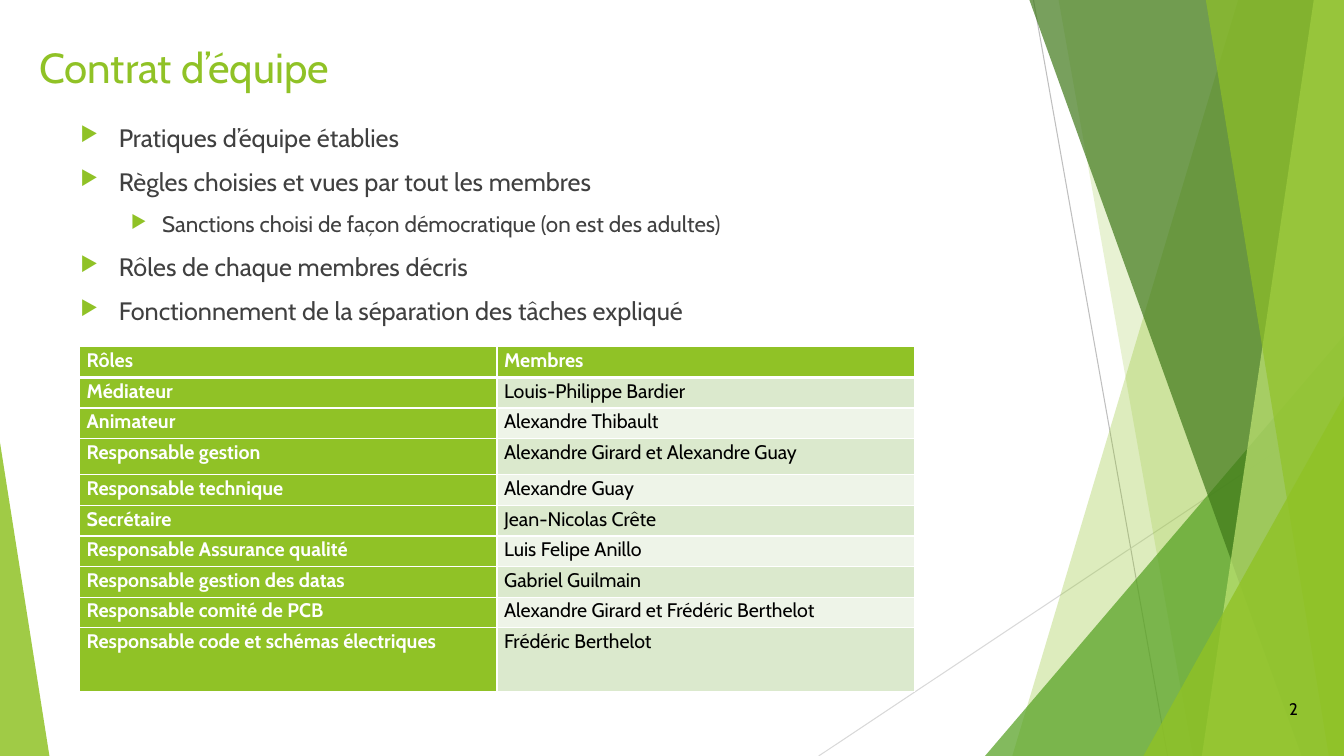
from dataclasses import dataclass

from lxml import etree
from pptx import Presentation
from pptx.dml.color import RGBColor
from pptx.enum.shapes import MSO_CONNECTOR, MSO_SHAPE
from pptx.enum.text import MSO_ANCHOR, MSO_AUTO_SIZE, PP_ALIGN
from pptx.oxml.ns import qn
from pptx.util import Inches, Pt

STRAIGHT = MSO_CONNECTOR.STRAIGHT
TRIANGLE = MSO_SHAPE.ISOSCELES_TRIANGLE
TOP, MIDDLE = MSO_ANCHOR.TOP, MSO_ANCHOR.MIDDLE
LEFT, RIGHT, JUSTIFY = PP_ALIGN.LEFT, PP_ALIGN.RIGHT, PP_ALIGN.JUSTIFY
NO_AUTOFIT = MSO_AUTO_SIZE.NONE


@dataclass(frozen=True)
class Theme:
    """Colours, font and type sizes of the slide."""
    font: str = "Cabin"
    accent: str = "90C226"
    mid_green: str = "54A021"
    dark_green: str = "3F7819"
    pale_green: str = "C0E474"
    band_dark: str = "DBE9CD"
    band_light: str = "EEF4E8"
    body: str = "404040"
    black: str = "000000"
    white: str = "FFFFFF"
    line_dark: str = "BFBFBF"
    line_light: str = "D9D9D9"
    title_size: int = 30
    bullet_sizes: tuple = (18, 16)
    table_size: int = 14
    number_size: int = 12


THEME = Theme()
WIDTH, HEIGHT = 13.33, 7.5

LINES = [
    ((10.25, 0), (11.58, HEIGHT), THEME.line_dark),
    ((WIDTH, 4.03), (8.12, HEIGHT), THEME.line_light),
]
FACETS = [
    ("band", 12.28, 10.04, THEME.accent, 30),
    ("band", 10.5, 11.83, THEME.accent, 20),
    ("triangle", 9.77, 3.33, THEME.mid_green, 72),
    ("band", 10.21, 12.91, THEME.dark_green, 70),
    ("band", 13.03, 11.92, THEME.pale_green, 70),
    ("band", 11.96, 13.18, THEME.accent, 65),
    ("triangle", 11.34, 3.93, THEME.accent, 80),
]
BULLETS = [
    (0, "Pratiques d’équipe établies"),
    (0, "Règles choisies et vues par tout les membres"),
    (1, "Sanctions choisi de façon démocratique (on est des adultes)"),
    (0, "Rôles de chaque membres décris"),
    (0, "Fonctionnement de la séparation des tâches expliqué"),
]
BULLET_INDENTS = [(0.38, -0.38), (0.81, -0.31)]
ROLES = [
    ("Rôles", "Membres"),
    ("Médiateur", "Louis-Philippe Bardier"),
    ("Animateur", "Alexandre Thibault"),
    ("Responsable gestion", "Alexandre Girard et Alexandre Guay"),
    ("Responsable technique", "Alexandre Guay"),
    ("Secrétaire", "Jean-Nicolas Crête"),
    ("Responsable Assurance qualité", "Luis Felipe Anillo"),
    ("Responsable gestion des datas", "Gabriel Guilmain"),
    ("Responsable comité de PCB", "Alexandre Girard et Frédéric Berthelot"),
    ("Responsable code et schémas électriques", "Frédéric Berthelot"),
]
TALL_ROWS = {3: 0.36, 9: 0.63}


def add_xml(parent, tag, **attributes):
    """Append a drawing element with its attributes and return it."""
    return etree.SubElement(parent, qn(tag), attributes)


def write_text(paragraph, text, size, color, bold=False, align=LEFT, before=0, spacing=1.0):
    """Write one formatted run into a paragraph."""
    run = paragraph.add_run()
    run.text = text
    run.font.name = THEME.font
    run.font.size = Pt(size)
    run.font.bold = bold
    run.font.color.rgb = RGBColor.from_string(color)
    paragraph.alignment = align
    paragraph.line_spacing = spacing
    paragraph.space_before = Pt(before)


def add_text_frame(slide, box, anchor=TOP):
    """Add a wrapping text box and return its text frame."""
    frame = slide.shapes.add_textbox(*map(Inches, box)).text_frame
    frame.word_wrap = True
    frame.vertical_anchor = anchor
    return frame


def paint(shape, color, opacity):
    """Give a shape a translucent fill without line or shadow."""
    shape.shadow.inherit = False
    shape.line.fill.background()
    shape.fill.solid()
    shape.fill.fore_color.rgb = RGBColor.from_string(color)
    color_element = shape.element.spPr.find(qn("a:solidFill"))[0]
    add_xml(color_element, "a:alpha", val=str(opacity * 1000))


def add_triangle(slide, box, apex, color, opacity):
    """Add a right triangle whose apex sits at the given fraction of its width."""
    shape = slide.shapes.add_shape(TRIANGLE, *map(Inches, box))
    shape.adjustments[0] = apex
    paint(shape, color, opacity)


def add_band(slide, top_x, bottom_x, color, opacity):
    """Add a full-height band from a slanted left edge to the slide's right edge."""
    builder = slide.shapes.build_freeform(Inches(top_x), 0)
    corners = [(WIDTH, 0), (WIDTH, HEIGHT), (bottom_x, HEIGHT)]
    builder.add_line_segments([(Inches(x), Inches(y)) for x, y in corners])
    paint(builder.convert_to_shape(), color, opacity)


def add_background(slide):
    """Draw the thin lines and the green facets."""
    for start, end, color in LINES:
        line = slide.shapes.add_connector(STRAIGHT, *map(Inches, start + end))
        line.line.width = Pt(0.75)
        line.line.color.rgb = RGBColor.from_string(color)
        add_xml(line.element.spPr, "a:effectLst")
    for kind, first, second, color, opacity in FACETS:
        if kind == "band":
            add_band(slide, first, second, color, opacity)
        else:
            box = (first, second, WIDTH - first, HEIGHT - second)
            add_triangle(slide, box, 1, color, opacity)
    add_triangle(slide, (0, 4.39, 0.49, 3.11), 0, THEME.accent, 85)


def add_title(slide, box, text):
    """Place the title placeholder above the background."""
    title = slide.shapes.title
    title.left, title.top, title.width, title.height = map(Inches, box)
    title.element.getparent().append(title.element)
    frame = title.text_frame
    frame.vertical_anchor = TOP
    frame.auto_size = NO_AUTOFIT
    write_text(frame.paragraphs[0], text, THEME.title_size, THEME.accent)


def add_bullets(slide, box):
    """Write the two-level bullet list."""
    frame = add_text_frame(slide, box)
    for index, (level, text) in enumerate(BULLETS):
        paragraph = frame.add_paragraph() if index else frame.paragraphs[0]
        paragraph.level = level
        write_text(paragraph, text, THEME.bullet_sizes[level], THEME.body, before=10)
        properties = paragraph._p.get_or_add_pPr()
        margin, indent = BULLET_INDENTS[level]
        properties.set("marL", str(Inches(margin)))
        properties.set("indent", str(Inches(indent)))
        add_xml(add_xml(properties, "a:buClr"), "a:srgbClr", val=THEME.accent)
        add_xml(properties, "a:buSzPct", val="80000")
        add_xml(properties, "a:buChar", char="▶")


def set_borders(cell, top, bottom):
    """Draw white borders around a cell, ahead of its fill."""
    properties = cell._tc.get_or_add_tcPr()
    widths = {"a:lnL": 1, "a:lnR": 1, "a:lnT": top, "a:lnB": bottom}
    for position, (tag, width) in enumerate(widths.items()):
        border = add_xml(properties, tag, w=str(Pt(width)))
        add_xml(add_xml(border, "a:solidFill"), "a:srgbClr", val=THEME.white)
        properties.insert(position, border)


def add_roles_table(slide, box):
    """Build the table of roles and members."""
    table = slide.shapes.add_table(len(ROLES), 2, *map(Inches, box)).table
    plain_height = (box[3] - sum(TALL_ROWS.values())) / (len(ROLES) - len(TALL_ROWS))
    for row, texts in enumerate(ROLES):
        table.rows[row].height = Inches(TALL_ROWS.get(row, plain_height))
        for column, text in enumerate(texts):
            cell = table.cell(row, column)
            heading = row == 0 or column == 0
            band = THEME.band_dark if row % 2 else THEME.band_light
            cell.fill.solid()
            cell.fill.fore_color.rgb = RGBColor.from_string(THEME.accent if heading else band)
            cell.margin_left = cell.margin_right = Inches(0.07)
            cell.margin_top = cell.margin_bottom = 0
            set_borders(cell, 3 if row == 1 else 1, 3 if row == 0 else 1)
            write_text(cell.text_frame.paragraphs[0], text, THEME.table_size,
                       THEME.white if heading else THEME.black,
                       bold=heading, align=JUSTIFY, spacing=1.07)


def main():
    """Build and save the slide."""
    presentation = Presentation()
    presentation.slide_width, presentation.slide_height = Inches(WIDTH), Inches(HEIGHT)
    slide = presentation.slides.add_slide(presentation.slide_layouts[5])
    add_background(slide)
    add_title(slide, (0.29, 0.36, 12.67, 0.79), "Contrat d’équipe")
    add_bullets(slide, (0.7, 1.16, 9.4, 4.24))
    number = add_text_frame(slide, (12.22, 6.83, 0.75, 0.4), MIDDLE)
    write_text(number.paragraphs[0], "2", THEME.number_size, THEME.black, align=RIGHT)
    add_roles_table(slide, (0.79, 3.44, 8.28, 3.42))
    presentation.save("out.pptx")


if __name__ == "__main__":
    main()
